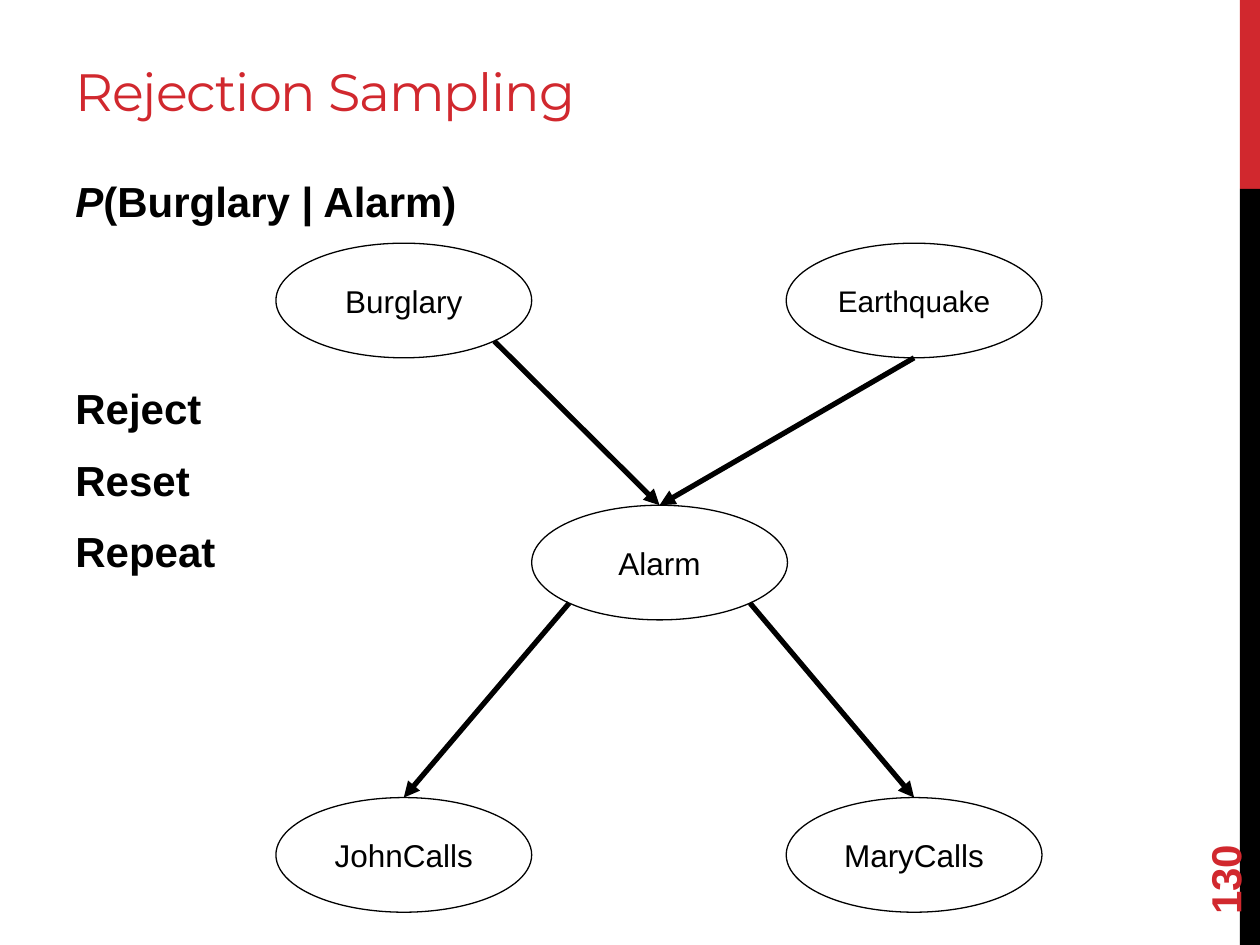
from math import sqrt

from pptx import Presentation
from pptx.dml.color import RGBColor
from pptx.enum.shapes import MSO_CONNECTOR, MSO_SHAPE
from pptx.enum.text import MSO_ANCHOR, PP_ALIGN
from pptx.oxml.ns import qn
from pptx.util import Inches, Pt

COLORS = {"red": "D1282E", "black": "000000"}
NODE_WIDTH, NODE_HEIGHT = 2.03, 0.91
LEFT, MIDDLE, RIGHT = 2.19, 4.22, 6.24
TOP_ROW, ALARM_ROW, CALL_ROW = 1.93, 4.01, 6.33
NODES = {
    "Burglary": (LEFT, TOP_ROW, 18),
    "Earthquake": (RIGHT, TOP_ROW, 17),
    "Alarm": (MIDDLE, ALARM_ROW, 18),
    "JohnCalls": (LEFT, CALL_ROW, 18),
    "MaryCalls": (RIGHT, CALL_ROW, 18),
}
# Start point on the parent's outline, as a direction from its centre
DIAGONAL = 1 / sqrt(2)
EDGES = [
    ("Burglary", "Alarm", (DIAGONAL, DIAGONAL)),
    ("Earthquake", "Alarm", (0, 1)),
    ("Alarm", "JohnCalls", (-DIAGONAL, DIAGONAL)),
    ("Alarm", "MaryCalls", (DIAGONAL, DIAGONAL)),
]


def color(name):
    return RGBColor.from_string(COLORS[name])


def style_font(font, size, color_name="black", bold=False, name="Arial"):
    font.name = name
    font.size = Pt(size)
    font.bold = bold
    font.color.rgb = color(color_name)


def add_bar(slide, top, height, color_name):
    bar = slide.shapes.add_shape(
        MSO_SHAPE.RECTANGLE, Inches(9.84), Inches(top), Inches(0.16), Inches(height))
    bar.shadow.inherit = False
    bar.fill.solid()
    bar.fill.fore_color.rgb = color(color_name)
    bar.line.fill.background()


def add_text(slide, box, paragraphs, anchor=MSO_ANCHOR.TOP, **font_style):
    """Add a text box; each paragraph is a list of run texts."""
    shape = slide.shapes.add_textbox(*map(Inches, box))
    frame = shape.text_frame
    frame.word_wrap = True
    frame.vertical_anchor = anchor
    for index, texts in enumerate(paragraphs):
        paragraph = frame.add_paragraph() if index else frame.paragraphs[0]
        if index:
            paragraph.space_before = Pt(12)
        for text in texts:
            run = paragraph.add_run()
            run.text = text
            style_font(run.font, **font_style)
    return shape


def add_node(slide, label, left, top, size):
    node = slide.shapes.add_shape(
        MSO_SHAPE.OVAL, Inches(left), Inches(top), Inches(NODE_WIDTH), Inches(NODE_HEIGHT))
    node.shadow.inherit = False
    node.fill.background()
    node.line.color.rgb = color("black")
    node.line.width = Pt(0.75)
    frame = node.text_frame
    frame.margin_top = frame.margin_bottom = Inches(0.1)
    frame.vertical_anchor = MSO_ANCHOR.MIDDLE
    frame.text = label
    paragraph = frame.paragraphs[0]
    paragraph.alignment = PP_ALIGN.CENTER
    style_font(paragraph.runs[0].font, size)
    return node


def add_arrow(slide, parent, child, direction):
    """Draw an arrow from the parent's outline to the top of the child."""
    start_x = parent.left + int(parent.width * (1 + direction[0]) / 2)
    start_y = parent.top + int(parent.height * (1 + direction[1]) / 2)
    arrow = slide.shapes.add_connector(
        MSO_CONNECTOR.STRAIGHT, start_x, start_y, child.left + child.width // 2, child.top)
    arrow.end_connect(child, 0)
    arrow.line.color.rgb = color("black")
    arrow.line.width = Pt(3)
    line = arrow.line._get_or_add_ln()
    head = line.makeelement(qn("a:tailEnd"), {"type": "triangle"})
    line.append(head)
    properties = arrow._element.spPr
    properties.append(properties.makeelement(qn("a:effectLst"), {}))


def main():
    presentation = Presentation()
    presentation.slide_width = Inches(10)
    presentation.slide_height = Inches(7.5)
    slide = presentation.slides.add_slide(presentation.slide_layouts[6])

    add_bar(slide, 0, 1.5, "red")
    add_bar(slide, 1.5, 6, "black")

    title = add_text(slide, (0.5, 0.17, 8.84, 0.85), [["Rejection Sampling"]],
                     MSO_ANCHOR.BOTTOM, size=30, color_name="red", name="Montserrat")
    title.text_frame.paragraphs[0].runs[0].font._element.set("spc", "-60")
    number = add_text(slide, (9, 6.44, 1.44, 0.4), [["130"]],
                      MSO_ANCHOR.MIDDLE, size=24, color_name="red", bold=True)
    number.rotation = 270

    query = add_text(slide, (0.5, 1.34, 8.84, 0.5), [["P", "(Burglary | Alarm)"]],
                     size=24, bold=True)
    query.text_frame.paragraphs[0].runs[0].font.italic = True
    add_text(slide, (0.5, 2.99, 1.69, 1.6), [["Reject"], ["Reset"], ["Repeat"]],
             size=24, bold=True)

    nodes = {label: add_node(slide, label, *place) for label, place in NODES.items()}
    for parent, child, direction in EDGES:
        add_arrow(slide, nodes[parent], nodes[child], direction)

    presentation.save("out.pptx")


if __name__ == "__main__":
    main()
